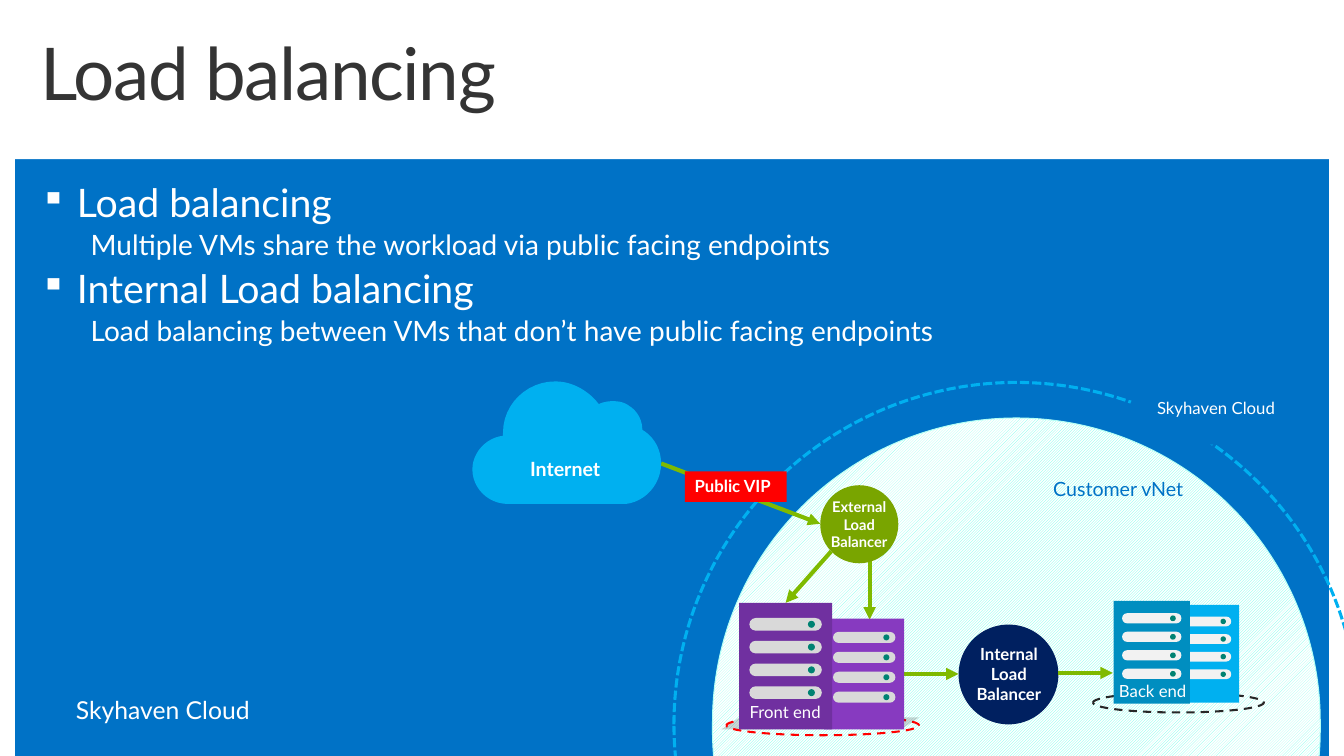
from dataclasses import dataclass

from lxml.etree import SubElement
from pptx import Presentation
from pptx.dml.color import RGBColor
from pptx.enum.dml import MSO_LINE as Dash, MSO_PATTERN as Pattern
from pptx.enum.shapes import MSO_CONNECTOR as Connector, MSO_SHAPE as Shape
from pptx.enum.text import MSO_ANCHOR as Anchor, PP_ALIGN as Align
from pptx.oxml.ns import qn
from pptx.util import Emu, Pt

PX = 9144


@dataclass(frozen=True)
class Theme:
    font: str = "Lato"
    blue: str = "0072C6"
    white: str = "FFFFFF"
    ink: str = "343434"
    sky: str = "00B0F0"
    teal: str = "008EC0"
    purple: str = "7030A0"
    violet: str = "873AC0"
    navy: str = "002060"
    olive: str = "79A500"
    green: str = "7FBA00"
    red: str = "FF0000"
    black: str = "272727"
    shade: str = "1A1A1A"
    mint: str = "67FFEC"
    mint_edge: str = "B3FFF6"
    slot_light: str = "F2F2F2"
    slot_gray: str = "D9D9D9"
    lamp: str = "008272"
    title: float = 53
    topic: float = 28.6
    detail: float = 20.4
    footer: float = 18
    label: float = 14.3
    small: float = 12.2
    tiny: float = 10.7


CLOUD_START = (31, 55)
CLOUD_CURVES = [
    ((31, 54), (31, 53), (31, 52)),
    ((31, 23), (55, 0), (84, 0)),
    ((102, 0), (118, 10), (128, 23)),
    ((132, 21), (137, 20), (142, 20)),
    ((148, 20), (154, 21), (159, 25)),
    ((167, 30), (172, 39), (172, 49)),
    ((184, 56), (191, 69), (191, 83)),
    ((191, 104), (175, 122), (155, 124)),
    ((150, 124), (40, 124), (36, 124)),
    ((16, 124), (0, 108), (0, 89)),
    ((0, 72), (14, 57), (31, 55)),
]
CLOUD_SIZE = (191, 124)
CURVE_STEPS = 12


def emu(*lengths):
    return [Emu(round(length * PX)) for length in lengths]


def rgb(color):
    return RGBColor.from_string(color)


def bezier(points, t):
    weights = ((1 - t) ** 3, 3 * t * (1 - t) ** 2, 3 * t * t * (1 - t), t ** 3)
    return tuple(sum(w * p[axis] for w, p in zip(weights, points)) for axis in (0, 1))


class Painter:
    def __init__(self, page, theme):
        self.page, self.theme = page, theme
        page.background.fill.solid()
        page.background.fill.fore_color.rgb = rgb(theme.blue)

    def paint(self, shape, fill=None, line=None, width=1.5, dash=None):
        shape.shadow.inherit = False
        if fill:
            shape.fill.solid()
            shape.fill.fore_color.rgb = rgb(fill)
        else:
            shape.fill.background()
        if line:
            shape.line.color.rgb = rgb(line)
            shape.line.width = Pt(width)
            if dash:
                shape.line.dash_style = dash
        else:
            shape.line.fill.background()
        return shape

    def shape(self, kind, at, fill=None, **style):
        return self.paint(self.page.shapes.add_shape(kind, *emu(*at)), fill, **style)

    def outline(self, points, fill, alpha=None):
        start, *rest = [emu(*point) for point in points]
        builder = self.page.shapes.build_freeform(*start)
        builder.add_line_segments(rest, close=True)
        shape = self.paint(builder.convert_to_shape(), fill)
        if alpha:
            color = shape._element.spPr.find(qn("a:solidFill"))[0]
            SubElement(color, qn("a:alpha"), val=str(alpha * 1000))

    def cloud(self, left, top, width, height, fill):
        points = [CLOUD_START]
        for curve in CLOUD_CURVES:
            ends = (points[-1], *curve)
            points += [bezier(ends, step / CURVE_STEPS) for step in range(1, CURVE_STEPS + 1)]
        across, down = width / CLOUD_SIZE[0], height / CLOUD_SIZE[1]
        self.outline([(left + x * across, top + y * down) for x, y in points], fill)

    def arrow(self, *ends):
        arrow = self.page.shapes.add_connector(Connector.STRAIGHT, *emu(*ends))
        arrow.line.color.rgb = rgb(self.theme.green)
        arrow.line.width = Pt(3)
        line = arrow._element.spPr.find(qn("a:ln"))
        SubElement(line, qn("a:tailEnd"), type="triangle")
        SubElement(arrow._element.spPr, qn("a:effectLst"))

    def fill_para(self, para, text, size, color, bold=False, spacing=None):
        span = para.add_run()
        span.text = text
        para.font.name = self.theme.font
        para.font.size = Pt(size)
        para.font.bold = bold
        para.font.color.rgb = rgb(color)
        if spacing:
            span._r.get_or_add_rPr().set("spc", str(spacing))

    def text(self, at, text, size, color=None, bold=False, align=Align.LEFT,
             anchor=Anchor.TOP, leading=None, spacing=None, insets=None, fill=None):
        if fill:
            box = self.shape(Shape.RECTANGLE, at, fill)
        else:
            box = self.page.shapes.add_textbox(*emu(*at))
        frame = box.text_frame
        frame.word_wrap, frame.vertical_anchor = True, anchor
        if insets:
            (frame.margin_left, frame.margin_top,
             frame.margin_right, frame.margin_bottom) = emu(*insets)
        para = frame.paragraphs[0]
        para.alignment = align
        if leading:
            para.line_spacing = leading
        self.fill_para(para, text, size, color or self.theme.white, bold, spacing)

    def topics(self, at, topics):
        theme = self.theme
        frame = self.page.shapes.add_textbox(*emu(*at)).text_frame
        frame.word_wrap = True
        lines = [line for topic, detail in topics
                 for line in ((topic, theme.topic, True), (detail, theme.detail, False))]
        for index, (text, size, bulleted) in enumerate(lines):
            para = frame.add_paragraph() if index else frame.paragraphs[0]
            para.line_spacing = 0.9
            if index:
                para.space_before = Pt(round(size * 0.2, 1))
            margin, indent = emu(37, -37) if bulleted else emu(51, 0)
            props = para._p.get_or_add_pPr()
            props.set("marL", str(margin))
            props.set("indent", str(indent))
            if bulleted:
                SubElement(SubElement(props, qn("a:buClr")), qn("a:srgbClr"), val=theme.white)
                SubElement(props, qn("a:buSzPct"), val="90000")
                SubElement(props, qn("a:buChar"), char="▪")
            else:
                para.level = 1
                SubElement(props, qn("a:buNone"))
            self.fill_para(para, text, size, theme.white)

    def server(self, left, top, width, height, fill, slot_fill):
        self.shape(Shape.RECTANGLE, (left, top, width, height), fill)
        slot_height, lamp = 0.1 * height, 0.075 * width
        for row in range(4):
            y = top + (0.12 + 0.18 * row) * height
            slot = (left + 0.11 * width, y, 0.78 * width, slot_height)
            self.shape(Shape.ROUNDED_RECTANGLE, slot, slot_fill).adjustments[0] = 0.5
            lamp_at = (left + 0.74 * width, y + (slot_height - lamp) / 2, lamp, lamp)
            self.shape(Shape.OVAL, lamp_at, self.theme.lamp)

    def balancer(self, left, top, size, fill, text, text_at, text_size):
        self.shape(Shape.OVAL, (left, top, size, size), fill)
        self.text(text_at, text, text_size, bold=True, align=Align.CENTER, anchor=Anchor.MIDDLE)

    def network(self, at):
        theme = self.theme
        zone = self.shape(Shape.ROUNDED_RECTANGLE, at, theme.white, line=theme.mint_edge, width=0.75)
        zone.adjustments[0] = 0.5
        zone.fill.patterned()
        zone.fill.pattern = Pattern.LIGHT_UPWARD_DIAGONAL
        zone.fill.fore_color.rgb = rgb(theme.mint)
        zone.fill.back_color.rgb = rgb(theme.white)


def main():
    theme = Theme()
    deck = Presentation()
    deck.slide_width, deck.slide_height = emu(1360, 765)
    art = Painter(deck.slides.add_slide(deck.slide_layouts[6]), theme)

    for edge in ((0, 0, 15, 765), (1345, 0, 15, 765), (0, 0, 1360, 161)):
        art.shape(Shape.RECTANGLE, edge, theme.white)
    art.text((31, 33, 1102, 103), "Load balancing", theme.title, theme.ink, leading=0.9, spacing=-100)
    art.topics((31, 181, 1296, 533), [
        ("Load balancing", "Multiple VMs share the workload via public facing endpoints"),
        ("Internal Load balancing", "Load balancing between VMs that don’t have public facing endpoints"),
    ])
    art.text((67, 698, 200, 41), "Skyhaven Cloud", theme.footer)

    art.network((721, 423, 615, 623))
    art.arrow(880, 564, 880, 627)
    art.arrow(841, 558, 795, 610)
    art.balancer(830, 491, 79, theme.olive, "External Load Balancer", (828, 497, 83, 67), theme.tiny)
    art.arrow(915, 682, 970, 682)
    art.text((1056, 478, 156, 35), "Customer vNet", theme.label, theme.blue)

    art.outline([(753, 723), (803, 723), (780, 738), (730, 738)], theme.shade, alpha=19)
    art.shape(Shape.OVAL, (1106, 701, 173, 20), line=theme.black, dash=Dash.DASH)
    art.balancer(970, 632, 101, theme.navy, "Internal Load Balancer", (968, 639, 106, 85), theme.small)
    art.server(1181, 612, 73, 99, theme.sky, theme.slot_light)
    art.server(1127, 608, 77, 104, theme.teal, theme.slot_light)
    art.text((1116, 684, 101, 31), "Back end", theme.small, align=Align.CENTER)

    art.shape(Shape.OVAL, (735, 724, 195, 20), line=theme.red, dash=Dash.DASH)
    art.outline([(889, 726), (930, 726), (912, 738), (870, 738)], theme.shade, alpha=19)
    art.server(834, 626, 81, 112, theme.violet, theme.slot_gray)
    art.server(748, 610, 94, 128, theme.purple, theme.slot_gray)
    art.text((740, 705, 109, 31), "Front end", theme.small, align=Align.CENTER)

    art.arrow(669, 469, 830, 530)
    art.cloud(478, 386, 191, 124, theme.sky)
    art.text((488, 439, 158, 74), "Internet", theme.label, bold=True, align=Align.CENTER,
             anchor=Anchor.MIDDLE, leading=0.9, insets=(10, 0, 0, 0))
    art.shape(Shape.OVAL, (682, 387, 693, 692), line=theme.sky, width=2.25, dash=Dash.SQUARE_DOT)
    art.cloud(1142, 338, 176, 112, theme.blue)
    art.arrow(1071, 681, 1126, 681)
    art.text((1161, 398, 152, 31), "Skyhaven Cloud", theme.small)
    art.text((693, 477, 103, 31), "Public VIP", theme.small, bold=True, fill=theme.red)

    deck.save("out.pptx")


if __name__ == "__main__":
    main()
